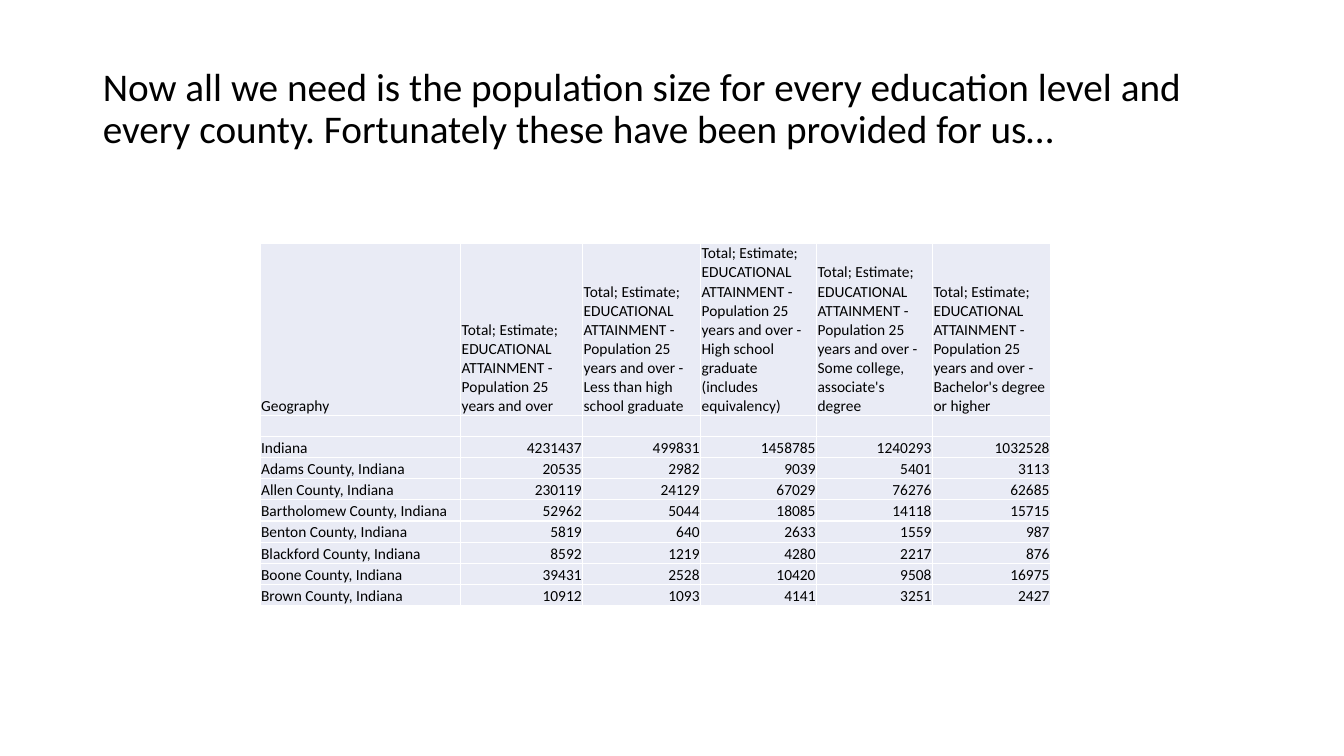
from pptx import Presentation
from pptx.util import Inches, Pt
from pptx.dml.color import RGBColor
from pptx.enum.text import PP_ALIGN, MSO_ANCHOR, MSO_AUTO_SIZE
from lxml.etree import SubElement
from pptx.oxml.ns import qn


def color(value):
    return RGBColor.from_string(value)


def set_all(obj, values):
    for name, value in values.items():
        setattr(obj, name, value)


prs = Presentation()
set_all(prs, {"slide_width": Inches(13.33), "slide_height": Inches(7.5)})
s = prs.slides.add_slide(prs.slide_layouts[5])

title = s.shapes.title
set_all(title, {"left": Inches(0.92), "top": Inches(0.62),
                "width": Inches(11.5), "height": Inches(1.11)})
tf = title.text_frame
tf.text = ("Now all we need is the population size for every education level "
           "and every county. Fortunately these have been provided for us…")
set_all(tf, {"word_wrap": True, "auto_size": MSO_AUTO_SIZE.NONE,
             "vertical_anchor": MSO_ANCHOR.TOP})
p = tf.paragraphs[0]
set_all(p, {"alignment": PP_ALIGN.LEFT, "line_spacing": 0.9, "space_before": Pt(10)})
r = p.runs[0]
set_all(r.font, {"size": Pt(28), "name": "Calibri"})
r.font.color.rgb = color("000000")

total = "Total; Estimate; EDUCATIONAL ATTAINMENT - Population 25 years and over"
levels = ["Less than high school graduate",
          "High school graduate (includes equivalency)",
          "Some college, associate's degree",
          "Bachelor's degree or higher"]
populations = [
    ("Indiana", 4231437, 499831, 1458785, 1240293, 1032528),
    ("Adams County, Indiana", 20535, 2982, 9039, 5401, 3113),
    ("Allen County, Indiana", 230119, 24129, 67029, 76276, 62685),
    ("Bartholomew County, Indiana", 52962, 5044, 18085, 14118, 15715),
    ("Benton County, Indiana", 5819, 640, 2633, 1559, 987),
    ("Blackford County, Indiana", 8592, 1219, 4280, 2217, 876),
    ("Boone County, Indiana", 39431, 2528, 10420, 9508, 16975),
    ("Brown County, Indiana", 10912, 1093, 4141, 3251, 2427),
]
header = ["Geography", total] + [f"{total} - {level}" for level in levels]
rows = [header, [""] * len(header)] + populations
col_widths = [1.99, 1.21, 1.17, 1.15, 1.15, 1.17]
row_heights = [1.71] + [0.21] * (len(rows) - 1)

table = s.shapes.add_table(len(rows), len(header), Inches(2.58), Inches(2.41),
                           Inches(sum(col_widths)), Inches(sum(row_heights))).table
set_all(table, {"first_row": False, "horz_banding": False})
for column, width in zip(table.columns, col_widths):
    column.width = Inches(width)
for row, height in zip(table.rows, row_heights):
    row.height = Inches(height)

for i, row in enumerate(rows):
    for j, value in enumerate(row):
        cell = table.cell(i, j)
        set_all(cell, {"margin_left": Inches(0.01), "margin_right": Inches(0.01),
                       "margin_top": Inches(0.01), "margin_bottom": 0,
                       "vertical_anchor": MSO_ANCHOR.BOTTOM})
        tcPr = cell._tc.get_or_add_tcPr()
        for side in ("lnL", "lnR", "lnT", "lnB"):
            ln = SubElement(tcPr, qn(f"a:{side}"), w=str(Pt(1)))
            SubElement(SubElement(ln, qn("a:solidFill")), qn("a:srgbClr"), val="FFFFFF")
        cell.fill.solid()
        cell.fill.fore_color.rgb = color("E9EBF5")
        p = cell.text_frame.paragraphs[0]
        p.alignment = PP_ALIGN.RIGHT if isinstance(value, int) else PP_ALIGN.LEFT
        if value == "":
            SubElement(p._p, qn("a:endParaRPr"), sz="1100")
            continue
        r = p.add_run()
        r.text = str(value)
        set_all(r.font, {"size": Pt(11), "name": "Calibri"})
        r.font.color.rgb = color("000000")

prs.save("out.pptx")
